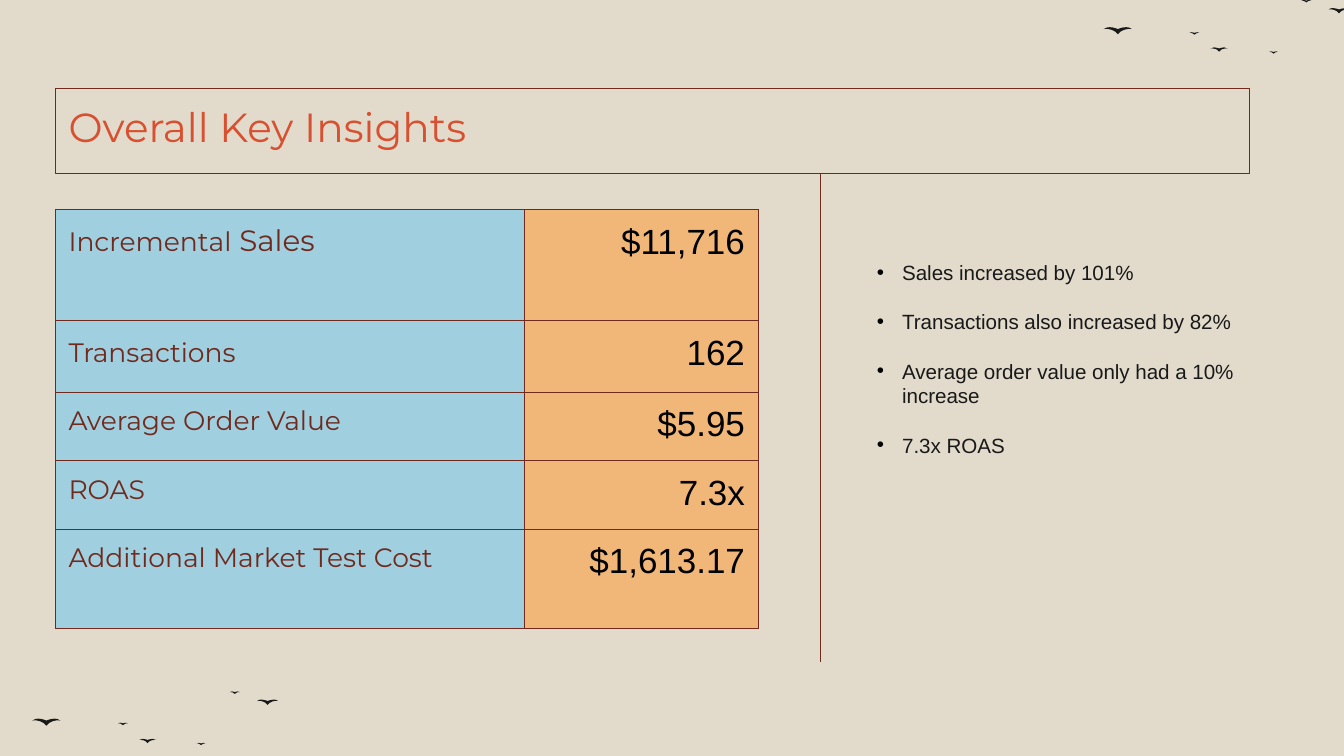
from dataclasses import dataclass

from lxml.etree import SubElement
from pptx import Presentation
from pptx.dml.color import RGBColor
from pptx.enum.shapes import MSO_CONNECTOR as Connector, MSO_SHAPE as Shape
from pptx.enum.text import MSO_ANCHOR as Anchor, PP_ALIGN as Align
from pptx.oxml.ns import qn
from pptx.util import Inches, Pt


@dataclass(frozen=True)
class Theme:
    paper: str = "E2DBCC"
    ink: str = "191919"
    black: str = "000000"
    rust: str = "702A1D"
    orange: str = "D85030"
    blue: str = "A0CFE0"
    sand: str = "F1B779"
    heading_font: str = "Montserrat"
    body_font: str = "Arial"
    title_size: float = 29
    label_size: float = 19
    label_large: float = 21
    value_size: float = 25
    note_size: float = 14.67
    note_pitch: float = 17.6
    line_width: float = 0.75
    inset: float = 0.13


THEME = Theme()

METRICS = [  # label, text in the larger label size, value, row height
    ("Incremental", " Sales", "$11,716", 1.1),
    ("Transactions", " ", "162", 0.71),
    ("Average Order Value", "", "$5.95", 0.68),
    ("ROAS", "", "7.3x", 0.68),
    ("Additional Market Test Cost", "", "$1,613.17", 0.99),
]
NOTES = [
    "Sales increased by 101%",
    "Transactions also increased by 82%",
    "Average order value only had a 10% increase",
    "7.3x ROAS",
]

# Birds: left, top, wingspan
BIRDS = [
    (1.38, 7.33, 0.17), (2.55, 6.94, 0.21), (0.32, 7.13, 0.28),
    (1.17, 7.17, 0.1), (1.95, 7.37, 0.09), (2.28, 6.86, 0.1),
    (12.01, 0.47, 0.17), (13.18, 0.08, 0.21), (10.95, 0.27, 0.28),
    (11.8, 0.32, 0.1), (12.59, 0.51, 0.09), (12.91, 0, 0.1),
]
BIRD_RATIO = 0.25
# Right wing in a unit box from neck to tail: a start, then three points a curve
WING = [
    (0.5, 0.28),
    (0.5, 0.28), (0.64, 0), (0.79, 0),
    (0.86, 0), (0.93, 0.05), (1, 0.28),
    (1, 0.28), (0.96, 0.24), (0.92, 0.24),
    (0.82, 0.24), (0.62, 0.35), (0.5, 1),
]


def rgb(value):
    return RGBColor.from_string(value)


def paint(item, color):
    item.fill.solid()
    item.fill.fore_color.rgb = rgb(color)


def set_insets(item):
    for side in ("left", "top", "right", "bottom"):
        setattr(item, f"margin_{side}", Inches(THEME.inset))


def add_span(para, text, font, size, color):
    span = para.add_run()
    span.text = text
    formats = {"name": font, "size": Pt(size), "bold": False}
    for name, value in formats.items():
        setattr(span.font, name, value)
    span.font.color.rgb = rgb(color)


def add_panel(page, box, outline=None):
    panel = page.shapes.add_shape(Shape.RECTANGLE, *map(Inches, box))
    panel.shadow.inherit = False
    paint(panel, THEME.paper)
    if outline:
        panel.line.color.rgb = rgb(outline)
        panel.line.width = Pt(THEME.line_width)
    else:
        panel.line.fill.background()
    frame = panel.text_frame
    frame.word_wrap = True
    frame.vertical_anchor = Anchor.TOP
    set_insets(frame)
    return frame


def add_bird(page, left, top, span):
    left_wing = [(1 - x, y) for x, y in reversed(WING[:-1])]
    points = [(Inches(left + x * span), Inches(top + y * span * BIRD_RATIO))
              for x, y in WING + left_wing]
    builder = page.shapes.build_freeform(*points[0])
    builder.add_line_segments(points[1:], close=True)
    bird = builder.convert_to_shape()
    bird.shadow.inherit = False
    paint(bird, THEME.ink)
    bird.line.fill.background()
    # Turn each three segments into one Bezier curve
    segments = list(bird._element.iter(qn("a:lnTo")))
    for start in range(0, len(segments), 3):
        first, *others = segments[start:start + 3]
        first.tag = qn("a:cubicBezTo")
        for segment in others:
            first.append(segment[0])
            segment.getparent().remove(segment)


def add_notes(page, box):
    frame = add_panel(page, box)
    for index, note in enumerate(NOTES):
        para = frame.paragraphs[0] if index == 0 else frame.add_paragraph()
        formats = {"alignment": Align.LEFT, "line_spacing": Pt(THEME.note_pitch),
                   "space_after": Pt(THEME.note_pitch)}
        for name, value in formats.items():
            setattr(para, name, value)
        add_span(para, note, THEME.body_font, THEME.note_size, THEME.ink)
        # Hanging bullet
        props = para._p.get_or_add_pPr()
        props.set("marL", str(Inches(0.25)))
        props.set("indent", str(-Inches(0.25)))
        color = SubElement(props, qn("a:buClr"))
        SubElement(color, qn("a:srgbClr"), val=THEME.black)
        SubElement(props, qn("a:buFont"), typeface=THEME.body_font)
        SubElement(props, qn("a:buChar"), char="•")


def style_cell(cell, color):
    set_insets(cell)
    cell.vertical_anchor = Anchor.TOP
    props = cell._tc.get_or_add_tcPr()
    for side in ("lnL", "lnR", "lnT", "lnB"):
        border = SubElement(props, qn(f"a:{side}"), w=str(Pt(THEME.line_width)))
        fill = SubElement(border, qn("a:solidFill"))
        SubElement(fill, qn("a:srgbClr"), val=THEME.rust)
    paint(cell, color)


def add_metrics(page, left, top, widths):
    heights = [metric[-1] for metric in METRICS]
    box = (left, top, sum(widths), sum(heights))
    table = page.shapes.add_table(len(METRICS), 2, *map(Inches, box)).table
    table.first_row = table.horz_banding = False
    for column, width in zip(table.columns, widths):
        column.width = Inches(width)
    for row, (label, large, value, height) in zip(table.rows, METRICS):
        row.height = Inches(height)
        label_cell, value_cell = row.cells
        style_cell(label_cell, THEME.blue)
        style_cell(value_cell, THEME.sand)
        para = label_cell.text_frame.paragraphs[0]
        add_span(para, label, THEME.heading_font, THEME.label_size, THEME.rust)
        if large:
            add_span(para, large, THEME.heading_font, THEME.label_large, THEME.rust)
        para = value_cell.text_frame.paragraphs[0]
        para.alignment = Align.RIGHT
        add_span(para, value, THEME.body_font, THEME.value_size, THEME.black)


def add_divider(page, x, top, bottom):
    ends = map(Inches, (x, top, x, bottom))
    divider = page.shapes.add_connector(Connector.STRAIGHT, *ends)
    divider.line.color.rgb = rgb(THEME.rust)
    divider.line.width = Pt(THEME.line_width)
    SubElement(divider._element.spPr, qn("a:effectLst"))


def add_title(page, box):
    para = add_panel(page, box, THEME.rust).paragraphs[0]
    para.alignment = Align.LEFT
    add_span(para, "Overall Key Insights", THEME.heading_font,
             THEME.title_size, THEME.orange)


def main():
    deck = Presentation()
    deck.slide_width, deck.slide_height = Inches(40 / 3), Inches(7.5)
    page = deck.slides.add_slide(deck.slide_layouts[6])
    paint(page.background, THEME.paper)
    for bird in BIRDS:
        add_bird(page, *bird)
    add_notes(page, (8.57, 2.45, 3.92, 3.77))
    add_metrics(page, 0.55, 2.08, (4.65, 2.32))
    add_divider(page, 8.14, 1.71, 6.57)
    add_title(page, (0.55, 0.88, 11.85, 0.84))
    deck.save("out.pptx")


if __name__ == "__main__":
    main()
